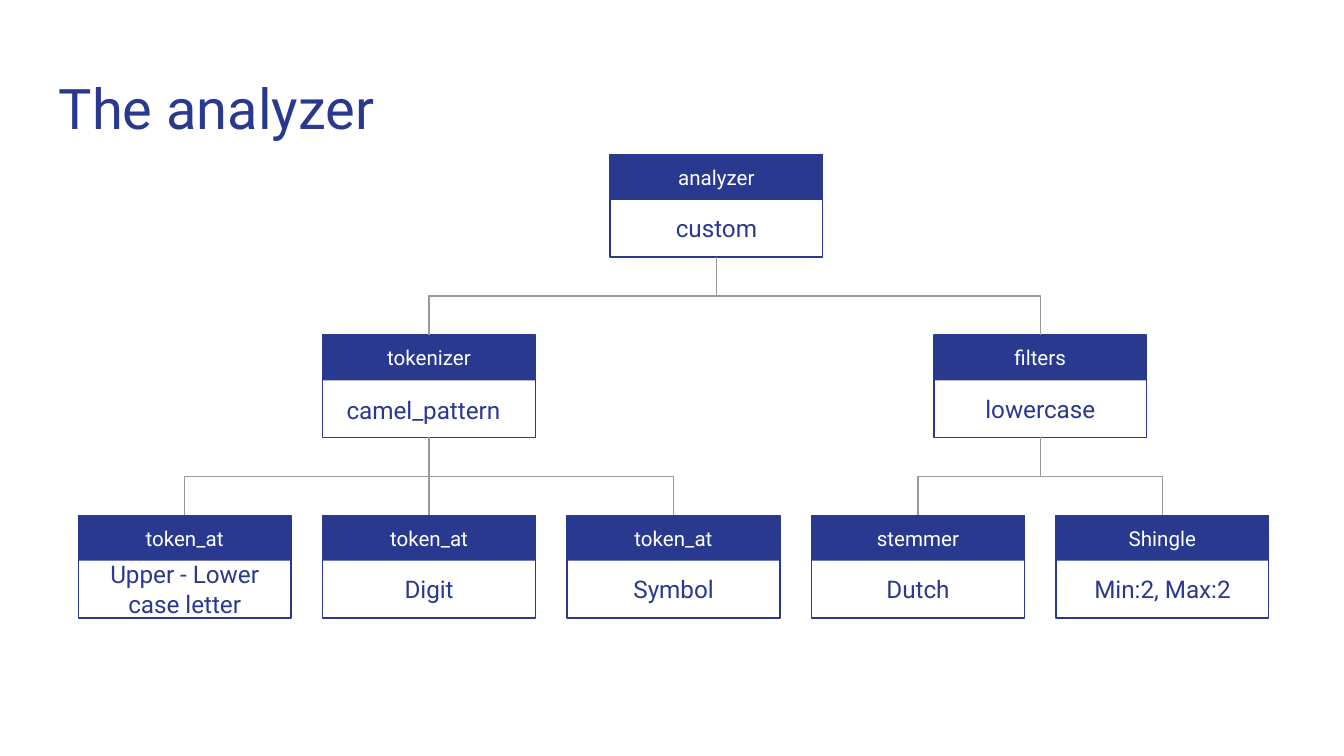
from lxml import etree
from pptx import Presentation
from pptx.dml.color import RGBColor
from pptx.enum.shapes import MSO_CONNECTOR, MSO_SHAPE
from pptx.enum.text import MSO_ANCHOR, PP_ALIGN
from pptx.oxml.ns import qn
from pptx.util import Cm, Pt

RECTANGLE = MSO_SHAPE.RECTANGLE
STRAIGHT, ELBOW = MSO_CONNECTOR.STRAIGHT, MSO_CONNECTOR.ELBOW
LEFT, CENTER = PP_ALIGN.LEFT, PP_ALIGN.CENTER
TOP, MIDDLE, BOTTOM = MSO_ANCHOR.TOP, MSO_ANCHOR.MIDDLE, MSO_ANCHOR.BOTTOM

NAVY = RGBColor(0x2A, 0x39, 0x90)
WHITE = RGBColor(0xFF, 0xFF, 0xFF)
GRAY = RGBColor(0x99, 0x99, 0x99)

FONT = "Roboto"
LINE_WIDTH = Pt(0.75)
CARD_WIDTH, CARD_HEIGHT, HEADER_HEIGHT = 4.02, 1.94, 0.86
TEXT_HEIGHT = 0.54
FIRST_COLUMN, COLUMN_STEP = 1.48, 4.62
FIRST_ROW, ROW_STEP = 2.92, 3.41
BOTTOM_SITE, TOP_SITE = 2, 0


def column_left(column):
    return FIRST_COLUMN + column * COLUMN_STEP


class TreeSlide:
    def __init__(self, deck):
        self.page = deck.slides.add_slide(deck.slide_layouts[6])

    def text(self, words, left, top, width, height, size, color,
             align=CENTER, anchor=MIDDLE):
        box = self.page.shapes.add_textbox(Cm(left), Cm(top), Cm(width), Cm(height))
        frame = box.text_frame
        frame.word_wrap = True
        frame.vertical_anchor = anchor
        frame.margin_left = frame.margin_right = Cm(0.25)
        frame.margin_top = frame.margin_bottom = Cm(0.25)
        para = frame.paragraphs[0]
        para.alignment = align
        span = para.add_run()
        span.text = words
        span.font.name = FONT
        span.font.size = Pt(size)
        span.font.color.rgb = color

    def rectangle(self, left, top, height, filled):
        """Add a solid header bar, or an outlined frame without fill."""
        shape = self.page.shapes.add_shape(
            RECTANGLE, Cm(left), Cm(top), Cm(CARD_WIDTH), Cm(height))
        shape.shadow.inherit = False
        if filled:
            shape.fill.solid()
            shape.fill.fore_color.rgb = NAVY
            shape.line.fill.background()
        else:
            shape.fill.background()
            shape.line.color.rgb = NAVY
            shape.line.width = LINE_WIDTH
        return shape

    def card(self, label, value, left, row, centered=True):
        """Add a labelled card and return its frame."""
        top = FIRST_ROW + row * ROW_STEP
        frame = self.rectangle(left, top, CARD_HEIGHT, filled=False)
        self.rectangle(left, top, HEADER_HEIGHT, filled=True)
        self.text(label, left, top + 0.16, CARD_WIDTH, TEXT_HEIGHT, 11, WHITE)
        if centered:
            self.text(value, left, top + 1.12, CARD_WIDTH, TEXT_HEIGHT, 13, NAVY)
        else:
            self.text(value, left + 0.2, top + 0.38, CARD_WIDTH, 1.56, 13, NAVY,
                      LEFT, BOTTOM)
        return frame

    def branch(self, parent, child):
        """Join a parent's bottom to a child's top, bending halfway down."""
        start_x = parent.left + parent.width // 2
        end_x = child.left + child.width // 2
        start_y, end_y = parent.top + parent.height, child.top
        kind = STRAIGHT if start_x == end_x else ELBOW
        link = self.page.shapes.add_connector(kind, start_x, start_y, end_x, end_y)
        link.begin_connect(parent, BOTTOM_SITE)
        link.end_connect(child, TOP_SITE)
        link.line.color.rgb = GRAY
        link.line.width = LINE_WIDTH
        properties = link._element.spPr
        etree.SubElement(properties, qn("a:effectLst"))
        if kind == ELBOW:
            # A quarter turn makes the elbow leave its parent vertically.
            drop, reach = end_y - start_y, abs(end_x - start_x)
            link.left = (start_x + end_x - drop) // 2
            link.top = (start_y + end_y - reach) // 2
            link.width, link.height = drop, reach
            rightward = end_x > start_x
            transform = properties.find(qn("a:xfrm"))
            transform.set("rot", str((270 if rightward else 90) * 60000))
            transform.set("flipH", "1" if rightward else "0")


def main():
    deck = Presentation()
    deck.slide_width, deck.slide_height = Cm(25.4), Cm(14.29)
    tree = TreeSlide(deck)
    tree.text("The analyzer", 0.86, 1.14, 23.67, 1.68, 30, NAVY, LEFT, TOP)

    analyzer = tree.card("analyzer", "custom", 11.53, 0)
    tokenizer = tree.card("tokenizer", "camel_pattern", column_left(1), 1,
                          centered=False)
    filters = tree.card("filters", "lowercase", column_left(3.5), 1)
    for parent in (tokenizer, filters):
        tree.branch(analyzer, parent)

    leaves = [
        (tokenizer, "token_at", "Upper - Lower case letter"),
        (tokenizer, "token_at", "Digit"),
        (tokenizer, "token_at", "Symbol"),
        (filters, "stemmer", "Dutch"),
        (filters, "Shingle", "Min:2, Max:2"),
    ]
    for column, (parent, label, value) in enumerate(leaves):
        leaf = tree.card(label, value, column_left(column), 2)
        tree.branch(parent, leaf)

    deck.save("out.pptx")


if __name__ == "__main__":
    main()
